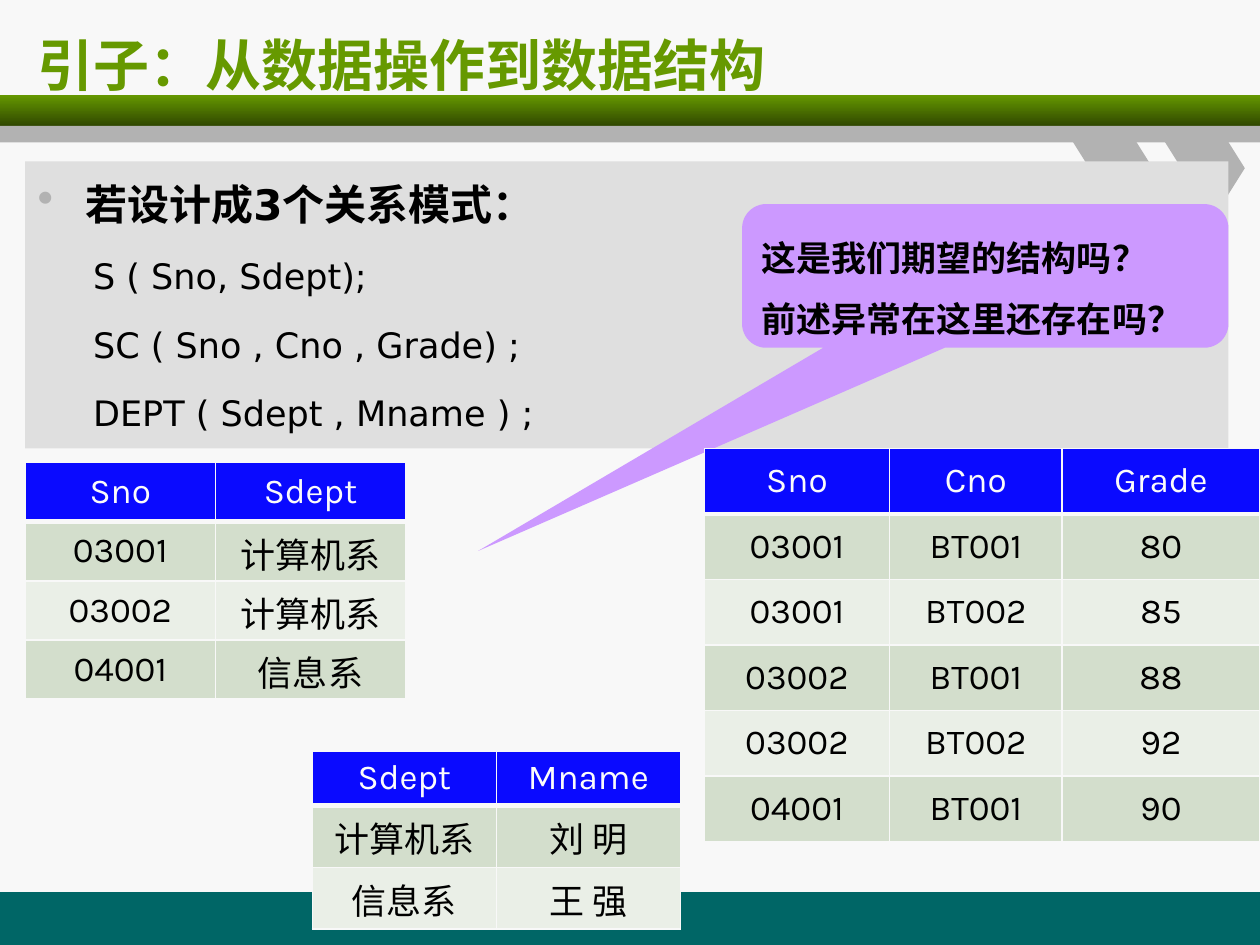
import pptx
import pptx.dml.color
import pptx.enum.shapes
import pptx.enum.text
import pptx.oxml
import pptx.oxml.ns
import pptx.util
from pptx.util import Inches

COLORS = {
    "background": "F8F8F8", "footer": "006666", "green": "669900",
    "dark green": "304800", "gray": "B2B2B2", "panel": "DFDFDF",
    "callout": "CC99FF", "header": "0A0AFF", "header text": "FBFBFB",
    "odd row": "D3DECC", "even row": "EAEFE7", "black": "000000",
}
RGB = {name: pptx.dml.color.RGBColor.from_string(value) for name, value in COLORS.items()}
SHAPES = pptx.enum.shapes.MSO_SHAPE
ANCHORS = pptx.enum.text.MSO_ANCHOR
CENTER = pptx.enum.text.PP_ALIGN.CENTER
NAMESPACE = pptx.oxml.ns.nsdecls("a")
CHINESE_FONT = "Noto Sans CJK SC"


def write_text(frame, text, font="DejaVu Sans", size=20, color="black", bold=False,
               align=None, line_spacing=None, space_before=0, indent=0, bullet=False):
    """Write one paragraph: the first fills the frame, later ones are added."""
    paragraph = frame.paragraphs[0]
    if paragraph.runs:
        paragraph = frame.add_paragraph()
    paragraph.alignment = align
    paragraph.space_before = pptx.util.Pt(space_before)
    if line_spacing:
        paragraph.line_spacing = pptx.util.Pt(line_spacing)
    run = paragraph.add_run()
    run.text = text
    run.font.name = font
    run.font.size = pptx.util.Pt(size)
    run.font.bold = bold
    run.font.color.rgb = RGB[color]
    run.font._element.append(pptx.oxml.parse_xml(f'<a:ea {NAMESPACE} typeface="{CHINESE_FONT}"/>'))
    properties = paragraph._p.get_or_add_pPr()
    properties.set("marL", str(Inches(indent)))
    properties.set("indent", str(Inches(-indent if bullet else 0)))
    if bullet:
        for xml in (f'<a:buClr {NAMESPACE}><a:srgbClr val="{COLORS["gray"]}"/></a:buClr>',
                    f'<a:buSzPct {NAMESPACE} val="110000"/>',
                    f'<a:buChar {NAMESPACE} char="•"/>'):
            properties.append(pptx.oxml.parse_xml(xml))


def add_box(kind, left, top, width, height, color):
    shape = slide.shapes.add_shape(kind, Inches(left), Inches(top), Inches(width), Inches(height))
    shape.shadow.inherit = False
    shape.fill.solid()
    shape.fill.fore_color.rgb = RGB[color]
    shape.line.fill.background()
    shape.text_frame.word_wrap = True
    shape.text_frame.vertical_anchor = ANCHORS.TOP
    return shape


presentation = pptx.Presentation()
presentation.slide_width = Inches(10)
presentation.slide_height = Inches(7.5)
slide = presentation.slides.add_slide(presentation.slide_layouts[6])
slide.background.fill.solid()
slide.background.fill.fore_color.rgb = RGB["background"]

# Footer, header bars and chevrons
add_box(SHAPES.RECTANGLE, 0, 7.08, 10, 0.42, "footer")
green_bar = add_box(SHAPES.RECTANGLE, 0, 0.75, 10, 0.25, "green")
green_bar.fill.gradient()
green_bar.fill.gradient_angle = 270
for stop, position, color in zip(green_bar.fill.gradient_stops, (0, 1), ("green", "dark green")):
    stop.position = position
    stop.color.rgb = RGB[color]
add_box(SHAPES.RECTANGLE, 0, 1, 10, 0.13, "gray")
for left in (8.48, 9.21):
    chevron = add_box(SHAPES.CHEVRON, left, 1.07, 0.67, 0.53, "gray")
    chevron.adjustments[0] = 0.314

# Title
title = slide.shapes.add_textbox(Inches(0.2), Inches(0.17), Inches(9.55), Inches(0.67))
title.text_frame.word_wrap = True
title.text_frame.vertical_anchor = ANCHORS.MIDDLE
write_text(title.text_frame, "引子：从数据操作到数据结构", size=32, color="green", bold=True)

# Relation schemas
panel = add_box(SHAPES.RECTANGLE, 0.2, 1.28, 9.55, 2.28, "panel")
write_text(panel.text_frame, "若设计成3个关系模式：", size=24, bold=True,
           line_spacing=35, space_before=5, indent=0.38, bullet=True)
for schema in ("S ( Sno, Sdept);", "SC ( Sno , Cno , Grade) ;", "DEPT ( Sdept , Mname ) ;"):
    write_text(panel.text_frame, schema, line_spacing=35, space_before=4, indent=0.44)

# Callout with questions
callout = add_box(SHAPES.ROUNDED_RECTANGULAR_CALLOUT, 5.89, 1.62, 3.86, 1.14, "callout")
for index, value in enumerate((-1.043, 1.915, 0.167)):
    callout.adjustments[index] = value
for question in ("这是我们期望的结构吗？", "前述异常在这里还存在吗？"):
    write_text(callout.text_frame, question, font=CHINESE_FONT, bold=True, line_spacing=35)

# Tables: left, top, column widths, row heights, rows
tables = [
    (2.48, 5.96, [1.46] * 2, [0.38, 0.49, 0.49],
     [("Sdept", "Mname"), ("计算机系", "刘 明"), ("信息系", "王 强")]),
    (5.59, 3.56, [1.47, 1.37, 1.57], [0.52] * 6,
     [("Sno", "Cno", "Grade"), ("03001", "BT001", "80"), ("03001", "BT002", "85"),
      ("03002", "BT001", "88"), ("03002", "BT002", "92"), ("04001", "BT001", "90")]),
    (0.2, 3.67, [1.51] * 2, [0.47] * 4,
     [("Sno", "Sdept"), ("03001", "计算机系"), ("03002", "计算机系"), ("04001", "信息系")]),
]
for left, top, widths, heights, rows in tables:
    table = slide.shapes.add_table(len(rows), len(widths), Inches(left), Inches(top),
                                   Inches(sum(widths)), Inches(sum(heights))).table
    for column, width in zip(table.columns, widths):
        column.width = Inches(width)
    for row_index, (row, height, values) in enumerate(zip(table.rows, heights, rows)):
        row.height = Inches(height)
        is_header = row_index == 0
        fill = "header" if is_header else ("odd row" if row_index % 2 else "even row")
        # The rule under the header is thicker than the other borders
        border_widths = {"lnL": 1, "lnR": 1, "lnT": 3 if row_index == 1 else 1,
                         "lnB": 3 if is_header else 1}
        for cell, value in zip(row.cells, values):
            cell.vertical_anchor = ANCHORS.MIDDLE
            cell.fill.solid()
            cell.fill.fore_color.rgb = RGB[fill]
            write_text(cell.text_frame, value, font="Karla", align=CENTER, space_before=4,
                       color="header text" if is_header else "black")
            properties = cell._tc.get_or_add_tcPr()
            for index, (tag, points) in enumerate(border_widths.items()):
                properties.insert(index, pptx.oxml.parse_xml(
                    f'<a:{tag} {NAMESPACE} w="{pptx.util.Pt(points)}"><a:solidFill>'
                    f'<a:srgbClr val="{COLORS["background"]}"/></a:solidFill></a:{tag}>'))

presentation.save("out.pptx")
